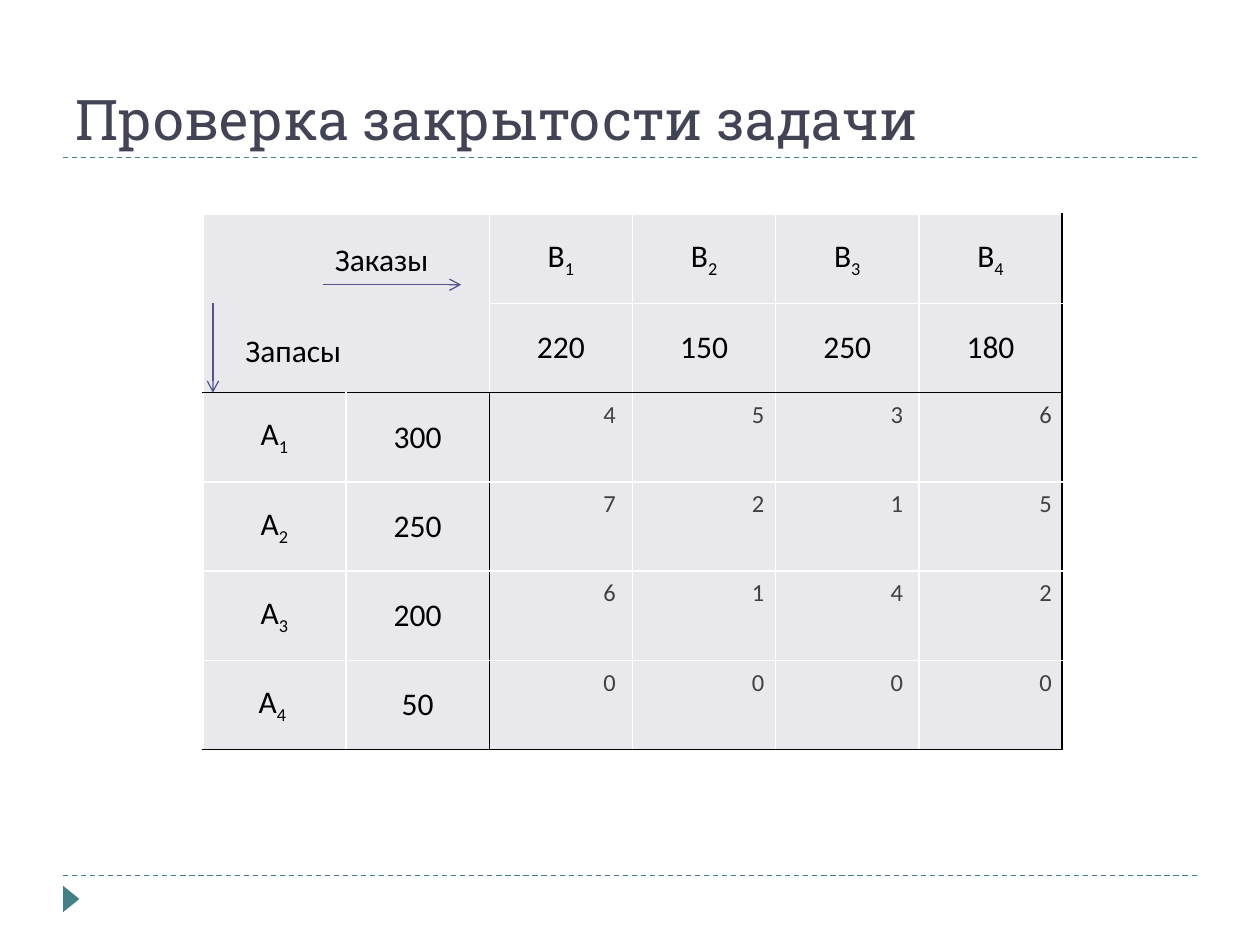
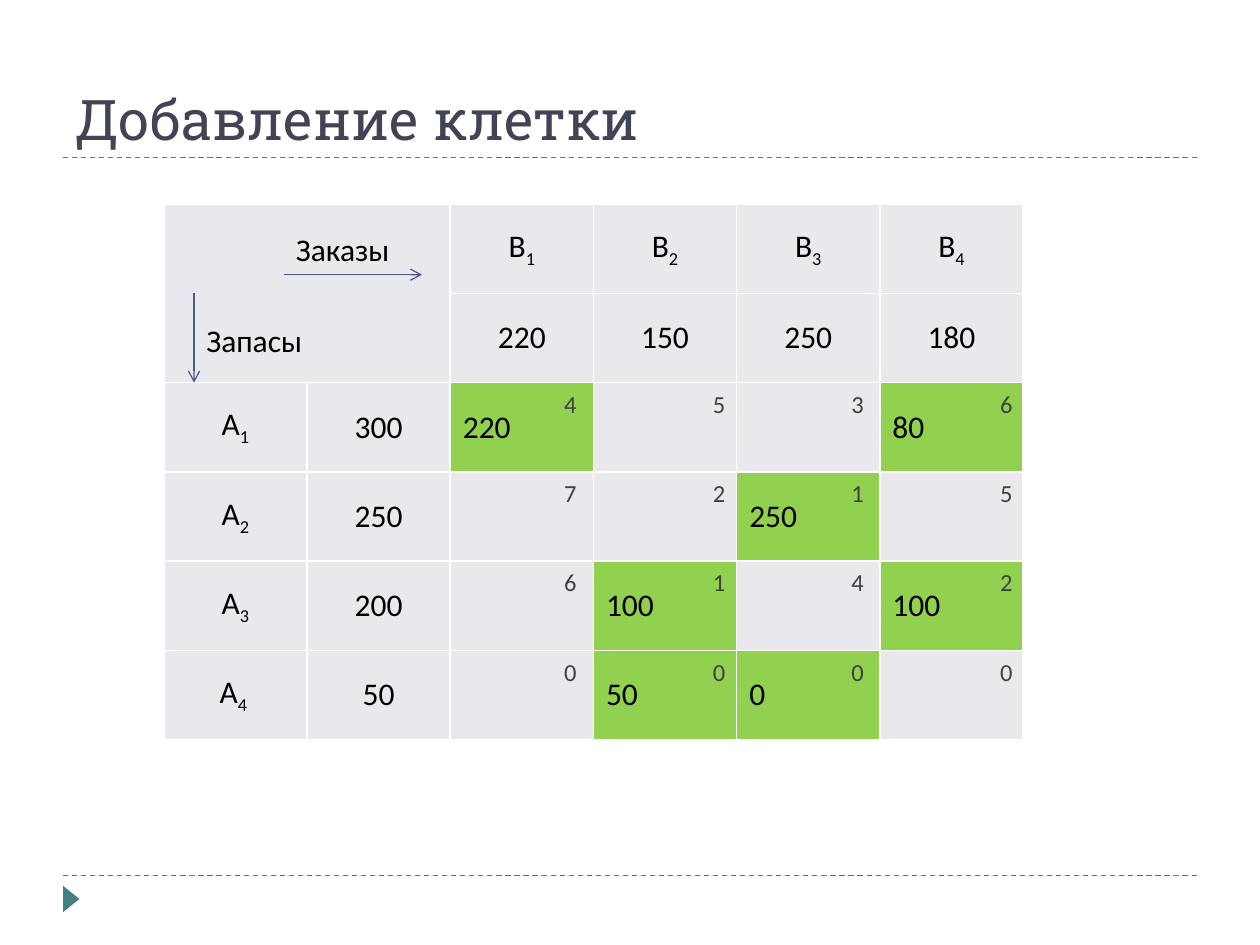
from lxml.etree import SubElement
from pptx import Presentation
from pptx.dml.color import RGBColor
from pptx.enum.dml import MSO_LINE
from pptx.enum.shapes import MSO_CONNECTOR as CONN, MSO_SHAPE as SHAPE
from pptx.enum.text import MSO_ANCHOR as ANCHOR, PP_ALIGN as ALIGN
from pptx.oxml.ns import qn
from pptx.util import Inches, Pt

COLORS = {
    "title": "424456",
    "rule": "438086",
    "arrow": "53548A",
    "cell": "E9E9ED",
    "used": "92D050",
    "text": "000000",
    "cost": "404040",
    "grid": "FFFFFF",
    "frame": "000000",
}
TITLE_FONT, BODY_FONT = "Roboto Slab", "Calibri"

GRID_SIZE = 6
TABLE_W, TABLE_H = 6.82, 4.25
ROW_H = TABLE_H / GRID_SIZE
ORDERS = [220, 150, 250, 180]
STOCKS = [300, 250, 200, 50]
STOCK_NAMES = ["A1", "A2", "A3", "A4 "]
COSTS = [[4, 5, 3, 6], [7, 2, 1, 5], [6, 1, 4, 2], [0, 0, 0, 0]]
COST_LEFTS = [3.08, 4.26, 5.36, 6.54]
SHIPMENTS = {(0, 0): 220, (0, 3): 80, (1, 2): 250, (2, 1): 100,
             (2, 3): 100, (3, 1): 50, (3, 2): 0}


def rgb(name):
    """Return the named colour."""
    return RGBColor.from_string(COLORS[name])


def style_font(font, size, color, name=BODY_FONT):
    """Set the size, colour and face of a font."""
    font.size, font.name = Pt(size), name
    font.color.rgb = rgb(color)


def add_text(s, text, box, size, color, name=BODY_FONT, anchor=ANCHOR.TOP, wrap=True):
    """Add a one-paragraph text box."""
    tf = s.shapes.add_textbox(*map(Inches, box)).text_frame
    tf.word_wrap, tf.vertical_anchor = wrap, anchor
    p = tf.paragraphs[0]
    p.text = text
    style_font(p.font, size, color, name)


def add_line(s, start, end, color):
    """Add a thin straight line without a shadow."""
    line = s.shapes.add_connector(CONN.STRAIGHT, *map(Inches, (*start, *end)))
    line.line.color.rgb = rgb(color)
    line.line.width = Pt(0.75)
    SubElement(line._element.spPr, qn("a:effectLst"))
    return line


def add_arrow(s, start, end):
    """Add a line with an open arrowhead at its end."""
    ln = add_line(s, start, end, "arrow").line._get_or_add_ln()
    SubElement(ln, qn("a:tailEnd"), type="arrow")


def add_slide(prs, title):
    """Add a slide with the shared rules, corner marker and title."""
    s = prs.slides.add_slide(prs.slide_layouts[6])
    for y in (6.95, 1.25):
        add_line(s, (0.5, y), (9.5, y), "rule").line.dash_style = MSO_LINE.DASH
    sp = s.shapes.add_shape(SHAPE.ISOSCELES_TRIANGLE,
                            *map(Inches, (0.46, 7.07, 0.21, 0.13)))
    sp.rotation = 90
    sp.shadow.inherit = False
    sp.fill.solid()
    sp.fill.fore_color.rgb = rgb("rule")
    sp.line.fill.background()
    add_text(s, title, (0.5, 0.17, 9, 1.08), 32, "title", TITLE_FONT, ANCHOR.BOTTOM)
    return s


def set_borders(cell, row, col, framed):
    """Draw the cell edges, with dark lines around the blocks if framed."""
    bottom, right = row + cell.span_height, col + cell.span_width
    if cell.is_spanned:
        bottom, right = row + 1, col + 1

    def across(y):
        return y in (2, GRID_SIZE)

    def down(x):
        return x == GRID_SIZE or (x == 2 and row >= 2)

    edges = {"lnL": down(col), "lnR": down(right), "lnT": across(row), "lnB": across(bottom)}
    tcPr = cell._tc.get_or_add_tcPr()
    for tag, dark in edges.items():
        ln = SubElement(tcPr, qn(f"a:{tag}"), w=str(Pt(1)))
        fill = SubElement(ln, qn("a:solidFill"))
        color = COLORS["frame" if framed and dark else "grid"]
        SubElement(fill, qn("a:srgbClr"), val=color)


def fill_cell(cell, text, color, align):
    """Write a value or an indexed name into a cell."""
    cell.fill.solid()
    cell.fill.fore_color.rgb = rgb(color)
    cell.vertical_anchor = ANCHOR.MIDDLE
    p = cell.text_frame.paragraphs[0]
    p.alignment = align
    style_font(p.font, 18, "text")
    if text[:1].isalpha():
        p.add_run().text = text[0]
        r = p.add_run()
        r.text = text[1:]
        r.font._element.set("baseline", "-25000")
    elif text:
        p.add_run().text = text


def table_rows(shipments):
    """Return the cell texts row by row."""
    rows = [["", ""] + [f"B{i}" for i in range(1, 5)], ["", "", *map(str, ORDERS)]]
    for i, (name, stock) in enumerate(zip(STOCK_NAMES, STOCKS)):
        rows.append([name, str(stock)] + [str(shipments.get((i, j), "")) for j in range(4)])
    return rows


def add_plan_table(s, left, top, shipments, framed):
    """Add the transport table with its shipments highlighted."""
    box = map(Inches, (left, top, TABLE_W, TABLE_H))
    table = s.shapes.add_table(GRID_SIZE, GRID_SIZE, *box).table
    table.first_row = table.horz_banding = False
    table.cell(0, 0).merge(table.cell(1, 1))
    for row, texts in enumerate(table_rows(shipments)):
        for col, text in enumerate(texts):
            cell = table.cell(row, col)
            used = (row - 2, col - 2) in shipments
            set_borders(cell, row, col, framed)
            fill_cell(cell, text, "used" if used else "cell",
                      ALIGN.LEFT if used else ALIGN.CENTER)


def add_plan(s, left, top, stock_arrow, shipments, framed=False):
    """Add the table, its corner labels with arrows, and the unit costs."""
    add_plan_table(s, left, top, shipments, framed)
    add_arrow(s, (left + 0.95, top + 0.56), (left + 2.05, top + 0.56))
    add_text(s, "Заказы", (left + 0.95, top + 0.16, 0.95, 0.4), 18, "text", wrap=False)
    add_text(s, "Запасы", (left + 0.24, top + 0.88, 0.97, 0.4), 18, "text", wrap=False)
    x = left + stock_arrow
    add_arrow(s, (x, top + ROW_H), (x, top + 2 * ROW_H))
    for i, costs in enumerate(COSTS):
        for dx, cost in zip(COST_LEFTS, costs):
            box = (left + dx, top + (i + 2) * ROW_H, 0.47, 0.34)
            add_text(s, str(cost), box, 14, "cost")


def main():
    """Build and save the two slides."""
    prs = Presentation()
    prs.slide_width, prs.slide_height = Inches(10), Inches(7.5)
    add_plan(add_slide(prs, "Проверка закрытости задачи"), 1.61, 1.7, 0.08, {}, framed=True)
    add_plan(add_slide(prs, "Добавление клетки"), 1.3, 1.62, 0.24, SHIPMENTS)
    prs.save("out.pptx")


if __name__ == "__main__":
    main()
